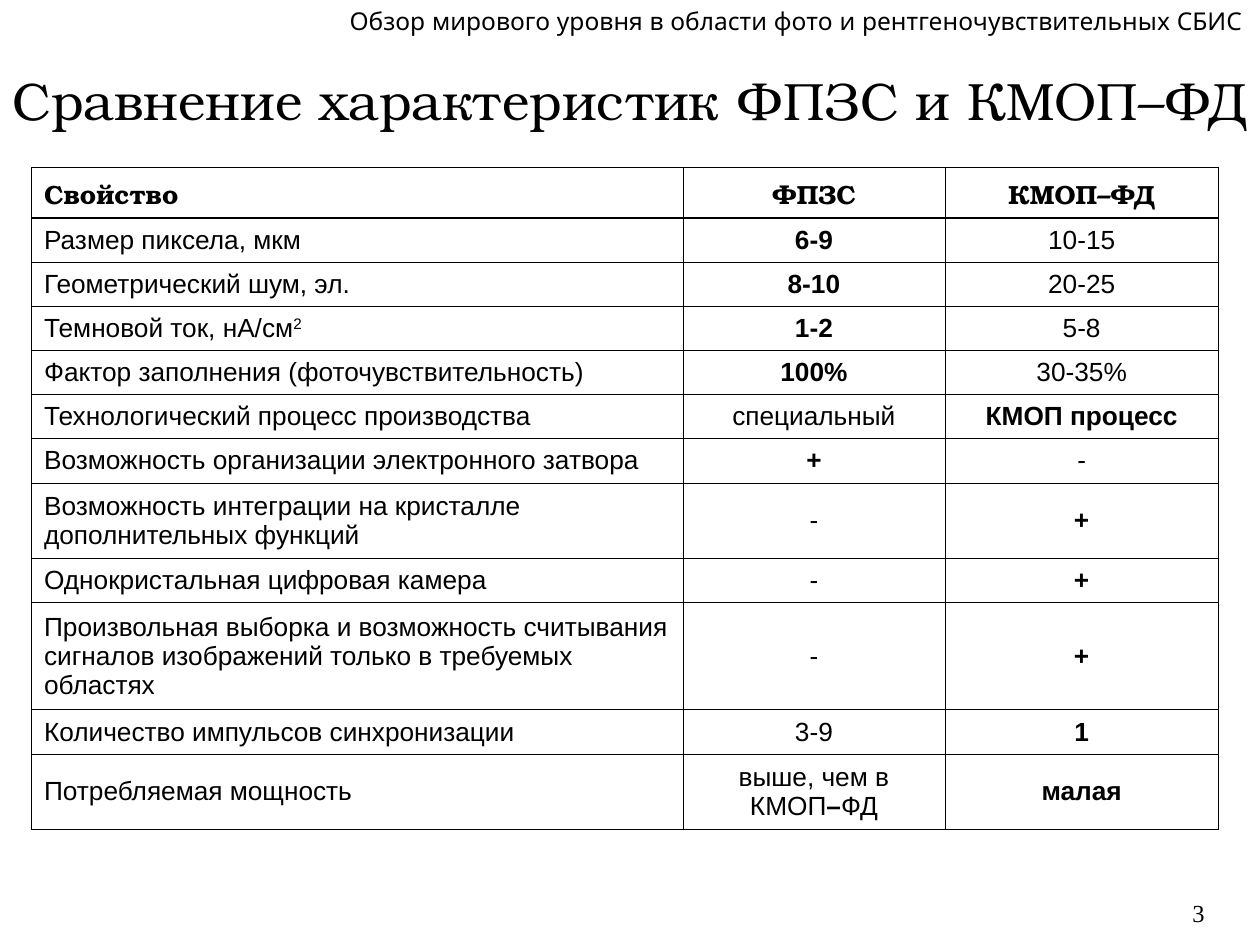
from lxml import etree
from pptx import Presentation
from pptx.dml.color import RGBColor
from pptx.enum.text import MSO_ANCHOR, PP_ALIGN
from pptx.oxml.ns import qn
from pptx.util import Inches, Pt

BLACK = RGBColor(0, 0, 0)
LEFT, CENTER, RIGHT = PP_ALIGN.LEFT, PP_ALIGN.CENTER, PP_ALIGN.RIGHT
TOP, MIDDLE = MSO_ANCHOR.TOP, MSO_ANCHOR.MIDDLE
SERIF, SANS = "TeX Gyre Bonum", "Arial"
OUTER_LINE, INNER_LINE = Pt(0.75), Pt(0.45)


def add_run(paragraph, text, name, size, bold=False):
    run = paragraph.add_run()
    run.text = text
    run.font.color.rgb = BLACK
    for attribute, value in {"name": name, "size": Pt(size), "bold": bold}.items():
        setattr(run.font, attribute, value)
    return run


def set_borders(cell, widths):
    """Draw black cell borders; widths run left, right, top, bottom."""
    properties = cell._tc.get_or_add_tcPr()
    for position, (side, width) in enumerate(zip(("lnL", "lnR", "lnT", "lnB"), widths)):
        line = etree.Element(qn(f"a:{side}"), w=str(int(width)))
        fill = etree.SubElement(line, qn("a:solidFill"))
        etree.SubElement(fill, qn("a:srgbClr"), val=str(BLACK))
        properties.insert(position, line)


presentation = Presentation()
presentation.slide_width, presentation.slide_height = Inches(10), Inches(7.5)
slide = presentation.slides.add_slide(presentation.slide_layouts[6])

# Title, running header and page number
captions = [
    ("Сравнение характеристик ФПЗС и КМОП–ФД",
     (0, 0.5, 10, 0.58), SERIF, 30, CENTER, MIDDLE, True),
    ("Обзор мирового уровня в области фото и рентгеночувствительных СБИС",
     (2.64, 0, 7.32, 0.34), "Quicksand", 14, RIGHT, TOP, False),
    ("3", (7.58, 7.08, 2.08, 0.25), "Times New Roman", 14, RIGHT, TOP, True),
]
for text, place, font_name, size, alignment, anchor, wrap in captions:
    frame = slide.shapes.add_textbox(*map(Inches, place)).text_frame
    frame.word_wrap = wrap
    frame.vertical_anchor = anchor
    frame.paragraphs[0].alignment = alignment
    add_run(frame.paragraphs[0], text, font_name, size)

# Comparison table: property, CCD value, CMOS value, column of the better value
HEADINGS = ("Свойство", "ФПЗС", "КМОП–ФД")
COMPARISON = [
    ("Размер пиксела, мкм", "6-9", "10-15", 1),
    ("Геометрический шум, эл.", "8-10", "20-25", 1),
    ("Темновой ток, нА/см", "1-2", "5-8", 1),
    ("Фактор заполнения (фоточувствительность)", "100%", "30-35%", 1),
    ("Технологический процесс производства", "специальный", "КМОП процесс", 2),
    ("Возможность организации электронного затвора", "+", "-", 1),
    ("Возможность интеграции на кристалле дополнительных функций", "-", "+", 2),
    ("Однокристальная цифровая камера", "-", "+", 2),
    ("Произвольная выборка и возможность считывания сигналов изображений "
     "только в требуемых областях", "-", "+", 2),
    ("Количество импульсов синхронизации", "3-9", "1", 2),
    ("Потребляемая мощность", "выше, чем в КМОП", "малая", 2),
]
COLUMN_WIDTHS = (5.17, 2.08, 2.17)
ROW_HEIGHTS = (0.4, *[0.35] * 6, 0.6, 0.35, 0.85, 0.35, 0.6)
LAST_ROW, LAST_COLUMN = len(ROW_HEIGHTS) - 1, len(COLUMN_WIDTHS) - 1

table = slide.shapes.add_table(
    len(ROW_HEIGHTS), len(COLUMN_WIDTHS), Inches(0.25), Inches(1.33),
    Inches(sum(COLUMN_WIDTHS)), Inches(sum(ROW_HEIGHTS))).table
table.first_row = table.horz_banding = False
for column, width in zip(table.columns, COLUMN_WIDTHS):
    column.width = Inches(width)
for row, height in zip(table.rows, ROW_HEIGHTS):
    row.height = Inches(height)

for r in range(len(ROW_HEIGHTS)):
    for c in range(len(COLUMN_WIDTHS)):
        cell = table.cell(r, c)
        cell.fill.background()
        cell.vertical_anchor = MIDDLE
        paragraph = cell.text_frame.paragraphs[0]
        paragraph.alignment = CENTER if c else LEFT
        if r == 0:
            add_run(paragraph, HEADINGS[c], SERIF, 15, True)
        else:
            entry = COMPARISON[r - 1]
            add_run(paragraph, entry[c], SANS, 15, c == entry[3])
        set_borders(cell, (
            OUTER_LINE if c == 0 else INNER_LINE,
            OUTER_LINE if c == LAST_COLUMN else INNER_LINE,
            OUTER_LINE if r <= 1 else INNER_LINE,
            OUTER_LINE if r in (0, LAST_ROW) else INNER_LINE,
        ))

square = add_run(table.cell(3, 0).text_frame.paragraphs[0], "2", SANS, 15)
square.font._element.set("baseline", "30000")
power = table.cell(LAST_ROW, 1).text_frame.paragraphs[0]
add_run(power, "–", SANS, 15, True)
add_run(power, "ФД", SANS, 15)

presentation.save("out.pptx")
